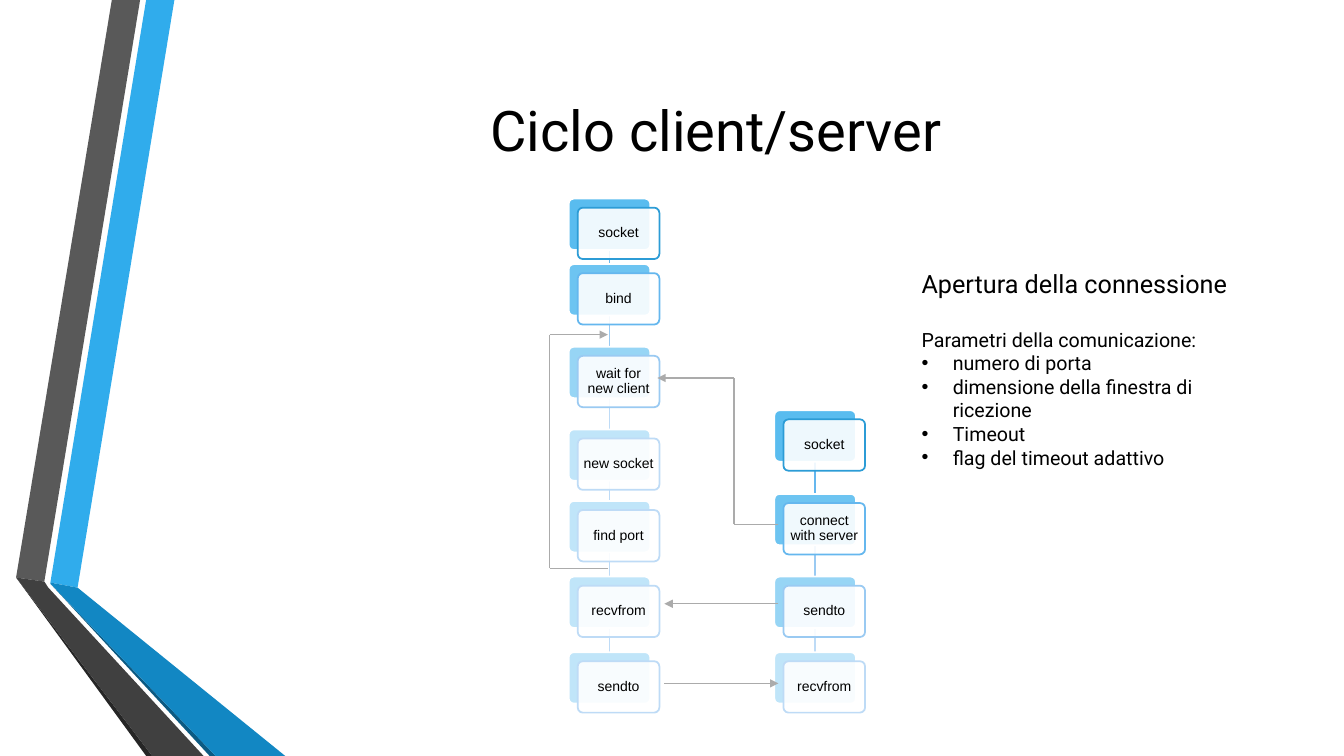
from itertools import pairwise

from lxml.etree import SubElement
from pptx import Presentation
from pptx.dml.color import RGBColor
from pptx.enum.shapes import MSO_CONNECTOR, MSO_SHAPE
from pptx.enum.text import MSO_ANCHOR, MSO_AUTO_SIZE, PP_ALIGN
from pptx.oxml.ns import qn
from pptx.util import Inches, Pt

COLORS = {
    "black": "000000", "white": "FFFFFF", "arrow": "ABABAB", "accent": "30ACEC",
    "gray": "595959", "gray_dark": "404040", "gray_edge": "262626",
    "blue_dark": "1287C3", "blue_edge": "0C5A82",
    "first": "2C9CD6", "second": "65B7EE", "third": "9ACAF2", "later": "BEDBF6",
}
RIBBONS = [
    ("accent", [(0.5, 5.78), (0.77, 5.83), (1.73, 0), (1.45, 0)]),
    ("gray", [(1.39, 0), (1.11, 0), (0.16, 5.73), (0.44, 5.77)]),
    ("gray_edge", [(0.16, 5.73), (1.45, 7.5), (1.51, 7.5)]),
    ("blue_edge", [(0.5, 5.79), (2.08, 7.5), (2.14, 7.5)]),
    ("blue_dark", [(0.5, 5.79), (2.14, 7.5), (2.83, 7.5), (0.77, 5.83), (0.5, 5.78)]),
    ("gray_dark", [(2.02, 7.5), (0.48, 5.83), (0.44, 5.77), (0.16, 5.73), (1.51, 7.5)]),
]
TITLE = "Ciclo client/server"
HEADINGS = [("Apertura della connessione", 18, 0), ("Parametri della comunicazione:", 14, 21)]
PARAMETERS = [
    "numero di porta", "dimensione della finestra di ricezione",
    "Timeout", "flag del timeout adattivo",
]
CHAINS = [
    (5.64, [("socket", 1.97), ("bind", 2.62), ("wait for new client", 3.44),
            ("new socket", 4.26), ("find port", 4.97), ("recvfrom", 5.72), ("sendto", 6.47)]),
    (7.68, [("socket", 4.07), ("connect with server", 4.9), ("sendto", 5.72),
            ("recvfrom", 6.47)]),
]
STEP_STYLES = [("first", 80), ("second", 70), ("third", 50), ("later", 30)]
ARROWS = [
    [(6.03, 5.64), (5.45, 5.64), (5.45, 3.32), (6.03, 3.32)],
    [(7.72, 5.2), (7.28, 5.2), (7.28, 3.75), (6.52, 3.75)],
    [(7.72, 5.99), (6.59, 5.99)],
    [(6.59, 6.78), (7.72, 6.78)],
]
NODE_WIDTH, NODE_HEIGHT, NODE_OFFSET = 0.81, 0.51, 0.09
BULLET_INDENT = 0.31
MARGINS = ("margin_left", "margin_right", "margin_top", "margin_bottom")


def color(name):
    return RGBColor.from_string(COLORS[name])


def apply(target, values):
    for name, value in values.items():
        setattr(target, name, value)


def place(shape, left, top, width, height):
    apply(shape, {"left": Inches(left), "top": Inches(top),
                  "width": Inches(width), "height": Inches(height)})


def write(paragraph, text, size, font_name, **format_values):
    paragraph.text = text
    apply(paragraph, {"space_before": Pt(0), "space_after": Pt(0)} | format_values)
    apply(paragraph.font, {"size": Pt(size), "name": font_name})
    paragraph.font.color.rgb = color("black")


def add_ribbon(color_name, points):
    corners = [(Inches(x), Inches(y)) for x, y in points]
    builder = slide.shapes.build_freeform(*corners[0])
    builder.add_line_segments(corners[1:], close=True)
    shape = builder.convert_to_shape()
    shape.shadow.inherit = False
    shape.fill.solid()
    shape.fill.fore_color.rgb = color(color_name)
    shape.line.fill.background()


def add_line(start, end, color_name, width, arrow=False):
    connector = slide.shapes.add_connector(
        MSO_CONNECTOR.STRAIGHT, *(Inches(value) for value in (*start, *end)))
    connector.line.color.rgb = color(color_name)
    connector.line.width = Pt(width)
    if arrow:
        SubElement(connector.line._get_or_add_ln(), qn("a:tailEnd"), type="triangle")
    SubElement(connector._element.spPr, qn("a:effectLst"))


def add_card(left, top, fill_name, opacity, line_name):
    card = slide.shapes.add_shape(
        MSO_SHAPE.ROUNDED_RECTANGLE, Inches(left), Inches(top),
        Inches(NODE_WIDTH), Inches(NODE_HEIGHT))
    card.adjustments[0] = 0.1
    card.shadow.inherit = False
    card.fill.solid()
    card.fill.fore_color.rgb = color(fill_name)
    fill_color = card._element.spPr.find(qn("a:solidFill"))[0]
    SubElement(fill_color, qn("a:alpha"), val=str(opacity * 1000))
    card.line.color.rgb = color(line_name)
    card.line.width = Pt(1.25)
    return card


def add_node(left, top, text, line_name, opacity):
    add_card(left, top, "accent", opacity, "white")
    front = add_card(left + NODE_OFFSET, top + NODE_OFFSET, "white", 90, line_name)
    frame = front.text_frame
    apply(frame, dict.fromkeys(MARGINS, Inches(0.03))
          | {"word_wrap": True, "vertical_anchor": MSO_ANCHOR.MIDDLE})
    write(frame.paragraphs[0], text, 10, "Arial",
          alignment=PP_ALIGN.CENTER, line_spacing=0.9)


def add_chain(left, steps):
    styles = [STEP_STYLES[min(index, len(STEP_STYLES) - 1)] for index in range(len(steps))]
    center = left + NODE_WIDTH / 2
    for ((_, top), (_, next_top)), (line_name, _) in zip(pairwise(steps), styles[1:]):
        add_line((center, top + NODE_HEIGHT), (center, next_top), line_name, 1.25)
    for (text, top), style in zip(steps, styles):
        add_node(left, top, text, *style)


def set_bullet(paragraph, character=None):
    properties = paragraph._p.get_or_add_pPr()
    indent = Inches(BULLET_INDENT) if character else 0
    properties.set("marL", str(indent))
    properties.set("indent", str(-indent))
    if character:
        SubElement(properties, qn("a:buFont"), typeface="Arial")
        SubElement(properties, qn("a:buChar"), char=character)
    else:
        SubElement(properties, qn("a:buNone"))


def fill_body(body):
    place(body, 9.04, 2.61, 3.68, 2.36)
    frame = body.text_frame
    apply(frame, {"word_wrap": True, "auto_size": MSO_AUTO_SIZE.NONE,
                  "vertical_anchor": MSO_ANCHOR.TOP})
    entries = [(*heading, None) for heading in HEADINGS]
    entries += [(text, 14, 0, "•") for text in PARAMETERS]
    for index, (text, size, space, bullet) in enumerate(entries):
        paragraph = frame.add_paragraph() if index else frame.paragraphs[0]
        write(paragraph, text, size, "Roboto",
              space_before=Pt(space), alignment=PP_ALIGN.LEFT)
        set_bullet(paragraph, bullet)


presentation = Presentation()
apply(presentation, {"slide_width": Inches(13.33), "slide_height": Inches(7.5)})
slide = presentation.slides.add_slide(presentation.slide_layouts[1])

title = slide.shapes.title
place(title, 1.62, 0.32, 10.96, 1.92)
title.text_frame.vertical_anchor = MSO_ANCHOR.MIDDLE
write(title.text_frame.paragraphs[0], TITLE, 40, "Roboto", alignment=PP_ALIGN.CENTER)
fill_body(slide.placeholders[1])

for ribbon in RIBBONS:
    add_ribbon(*ribbon)
for chain in CHAINS:
    add_chain(*chain)
for points in ARROWS:
    for start, end in pairwise(points):
        add_line(start, end, "arrow", 0.75, arrow=end == points[-1])

presentation.save("out.pptx")
